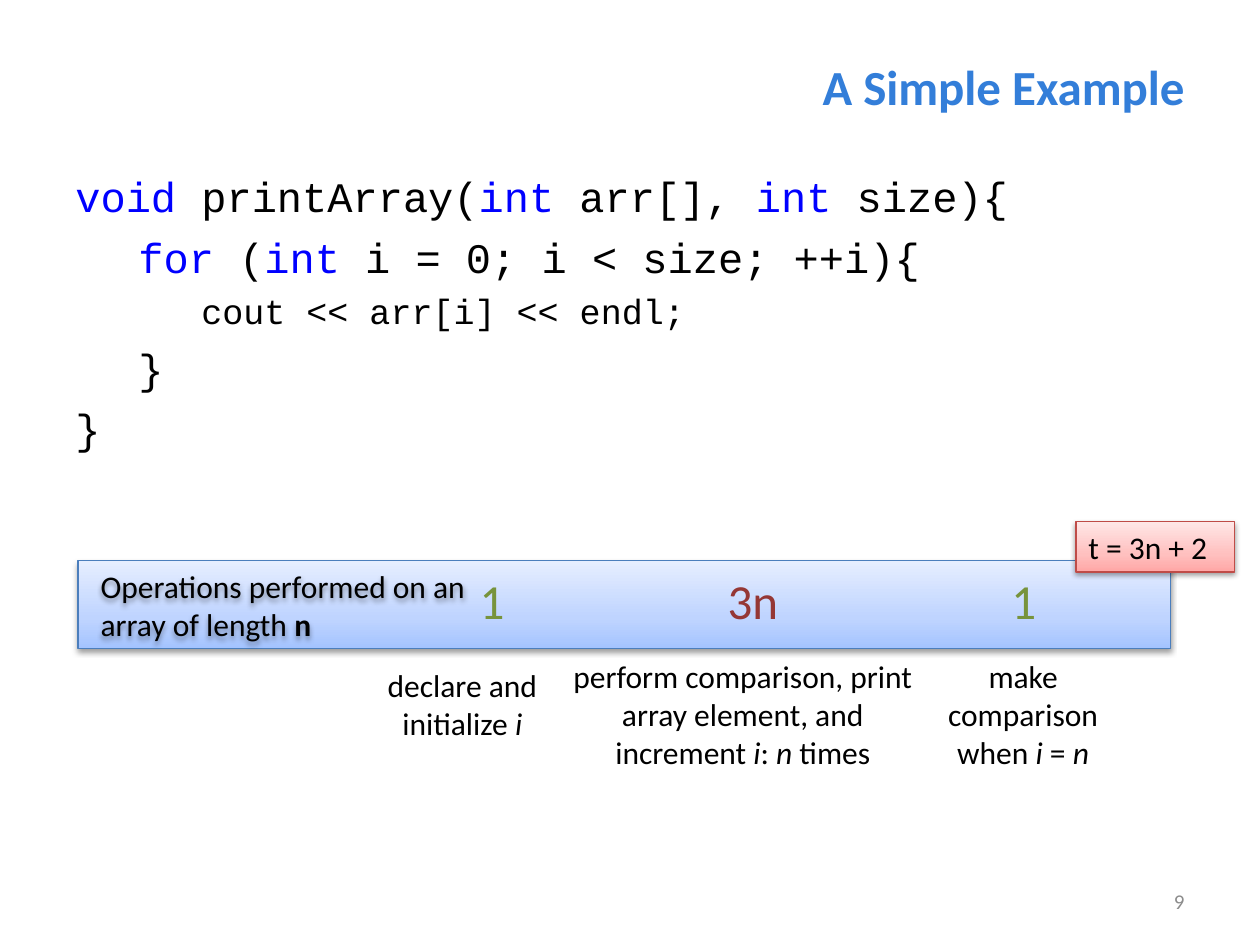
import copy

import lxml.etree
import pptx
import pptx.dml.color
import pptx.enum.shapes
import pptx.enum.text
import pptx.oxml.ns
import pptx.util

ALIGN = pptx.enum.text.PP_ALIGN
ANCHOR = pptx.enum.text.MSO_ANCHOR
qn = pptx.oxml.ns.qn
Pt = pptx.util.Pt


def rgb(value):
    return pptx.dml.color.RGBColor.from_string(value)


class Deck:
    """Style and current slide; boxes are (left, top, width, height) in percent."""

    font, mono = "Calibri", "Courier New"
    black, keyword = "000000", "0000FF"
    body, big = 18, 28

    def __init__(self, prs):
        self.prs = prs
        self.slide = prs.slides.add_slide(prs.slide_layouts[6])

    def place(self, box):
        sides = (self.prs.slide_width, self.prs.slide_height) * 2
        return [round(share * side / 100) for share, side in zip(box, sides)]

    def add_runs(self, p, text, size, color, font, emphasis=None):
        """Fill a paragraph; every second part between bars gets the emphasis."""
        p.font.name, p.font.size = font, Pt(size)
        p.font.color.rgb = rgb(color)
        for i, part in enumerate(text.split("|")):
            if not part:
                continue
            r = p.add_run()
            r.text = part
            if i % 2:
                emphasis(r.font)

    def text(self, box, text, size=body, color=black, align=ALIGN.LEFT,
             anchor=ANCHOR.TOP, inset=True, bold=False):
        """Text box; emphasis is bold in left-aligned text, else italic."""
        sp = self.slide.shapes.add_textbox(*self.place(box))
        tf = sp.text_frame
        tf.word_wrap, tf.vertical_anchor = True, anchor
        if not inset:
            tf.margin_left = tf.margin_right = tf.margin_top = tf.margin_bottom = 0
        p = tf.paragraphs[0]
        p.alignment = align

        def emphasis(font):
            if align == ALIGN.LEFT:
                font.bold = True
            else:
                font.italic = True

        self.add_runs(p, text, size, color, self.font, emphasis)
        if bold:
            p.font.bold = True
        return sp

    def code(self, box, lines):
        """Lines are (level, size, text), with keywords between bars."""
        tf = self.slide.shapes.add_textbox(*self.place(box)).text_frame
        tf.word_wrap = True

        def blue(font):
            font.color.rgb = rgb(self.keyword)

        for i, (level, size, text) in enumerate(lines):
            p = tf.add_paragraph() if i else tf.paragraphs[0]
            p._p.get_or_add_pPr().set("marL", str(pptx.util.Inches(level / 2)))
            if i:
                p.space_before = Pt(size * 0.24)
            self.add_runs(p, text, size, self.black, self.mono, blue)

    def shadow(self, sp):
        sp.shadow.inherit = False
        effects = sp._element.spPr.find(qn("a:effectLst"))
        outer = lxml.etree.SubElement(
            effects, qn("a:outerShdw"), blurRad="40000", dist="20000",
            dir="5400000", rotWithShape="0")
        color = lxml.etree.SubElement(outer, qn("a:srgbClr"), val=self.black)
        lxml.etree.SubElement(color, qn("a:alpha"), val="38000")

    def panel(self, box, colors, line, text=""):
        """Rectangle shaded from the bottom up through three colours."""
        sp = self.slide.shapes.add_shape(
            pptx.enum.shapes.MSO_SHAPE.RECTANGLE, *self.place(box))
        sp.fill.gradient()
        sp.fill.gradient_angle = 90
        stops = sp._element.spPr.find(".//" + qn("a:gsLst"))
        stops.insert(1, copy.deepcopy(stops[0]))
        for stop, color, position in zip(sp.fill.gradient_stops, colors, (0, 0.35, 1)):
            stop.color.rgb, stop.position = rgb(color), position
        sp.line.color.rgb, sp.line.width = rgb(line), Pt(0.75)
        self.shadow(sp)
        if text:
            tf = sp.text_frame
            tf.vertical_anchor = ANCHOR.MIDDLE
            p = tf.paragraphs[0]
            p.alignment = ALIGN.LEFT
            self.add_runs(p, text, self.body, self.black, self.font)


def main():
    prs = pptx.Presentation()
    prs.slide_width, prs.slide_height = pptx.util.Inches(10), pptx.util.Inches(7.5)
    deck = Deck(prs)

    deck.text((16.1, 5.07, 78.9, 8.13), "A Simple Example", deck.big, "337ED9",
              ALIGN.RIGHT, ANCHOR.MIDDLE, bold=True)
    deck.code((5, 17.4, 90, 65), [
        (0, 24, "|void |printArray(|int |arr[], |int |size){"),
        (1, 24, "|for| (|int |i = 0; i < size; ++i){"),
        (2, 20, "cout << arr[i] << endl;"),
        (1, 24, "}"),
        (0, 24, "}"),
    ])
    deck.text((71.7, 92.67, 23.3, 5.33), "9", 12, "8C8C8C",
              ALIGN.RIGHT, ANCHOR.MIDDLE)

    deck.panel((6.2, 59.33, 86.7, 9.33), ("A4C4FF", "BFD4FF", "E6EEFF"), "4B7EBC")
    deck.shadow(deck.text((7, 59.33, 31.2, 9.47),
                          "Operations performed on an array of length |n"))

    for left, width, count, color in [(28.1, 21.9, "1", "77933C"),
                                      (41.4, 36.7, "3n", "953735"),
                                      (79.7, 3.1, "1", "77933C")]:
        deck.text((left, 60.4, width, 6.27), count, deck.big, color,
                  ALIGN.CENTER, ANCHOR.MIDDLE, inset=False)

    for box, label in [
        ((28.9, 69.73, 15.6, 9.47), "declare and initialize |i"),
        ((44.5, 68.8, 28.9, 13.47),
         "perform comparison, print array element, and increment |i|: |n| times"),
        ((73.4, 68.8, 15.6, 13.47), "make comparison when |i| = |n"),
    ]:
        deck.text(box, label, align=ALIGN.CENTER, anchor=ANCHOR.MIDDLE)

    deck.panel((85.4, 55.2, 12.6, 5.33), ("FFA6A5", "FFC0BF", "FFE7E7"), "BF4C48",
               "t = 3n + 2")
    prs.save("out.pptx")


if __name__ == "__main__":
    main()
